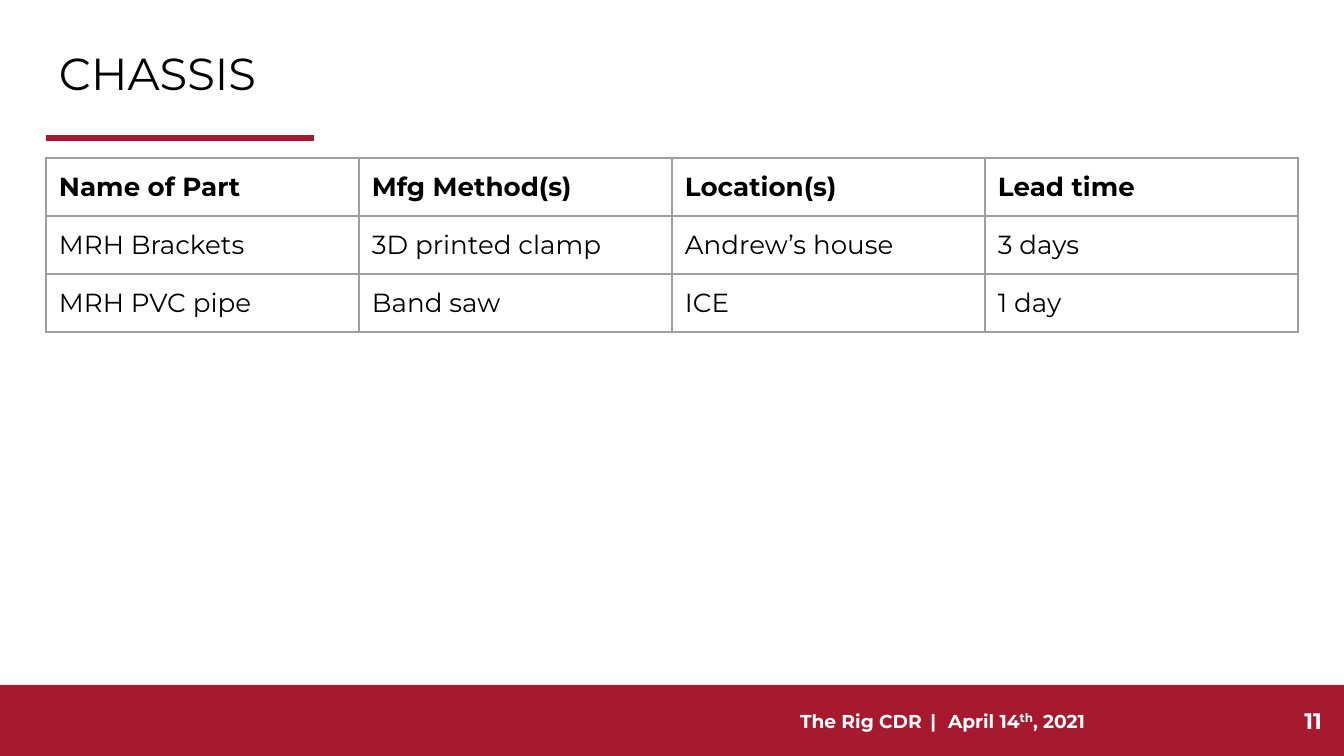
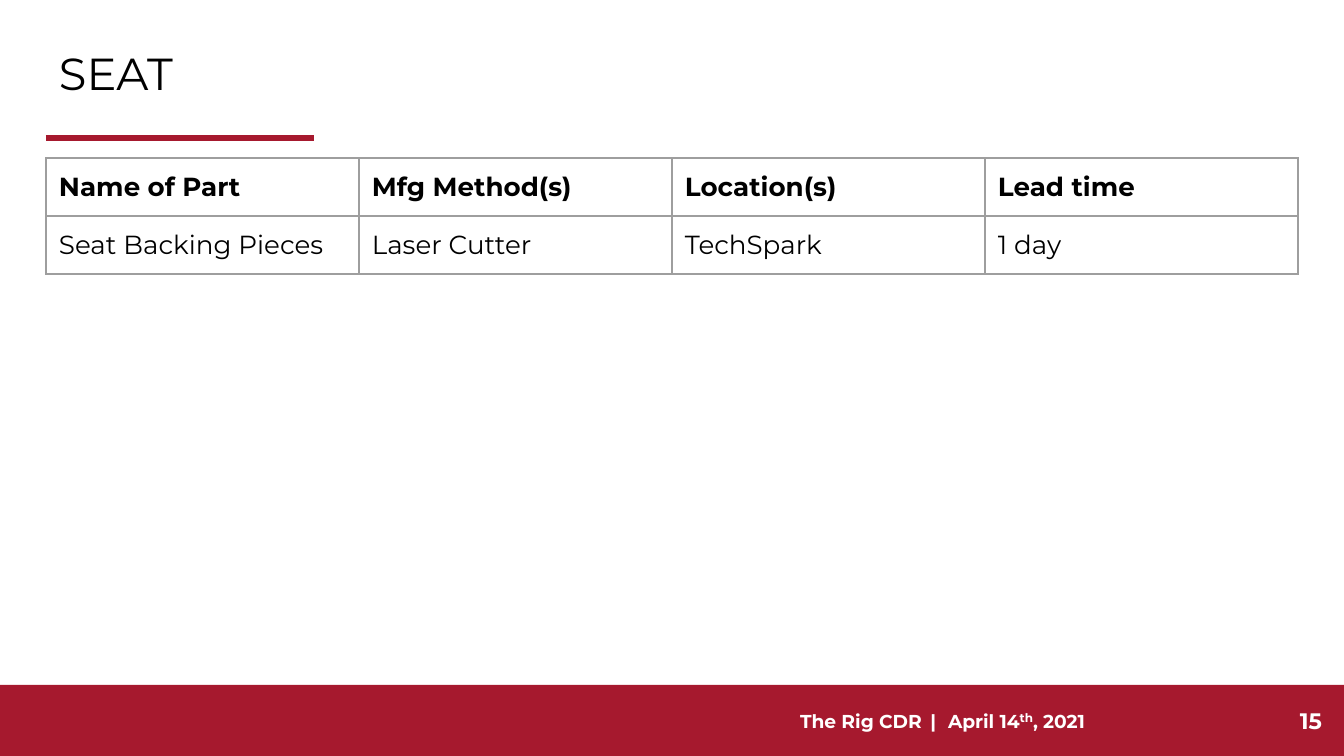
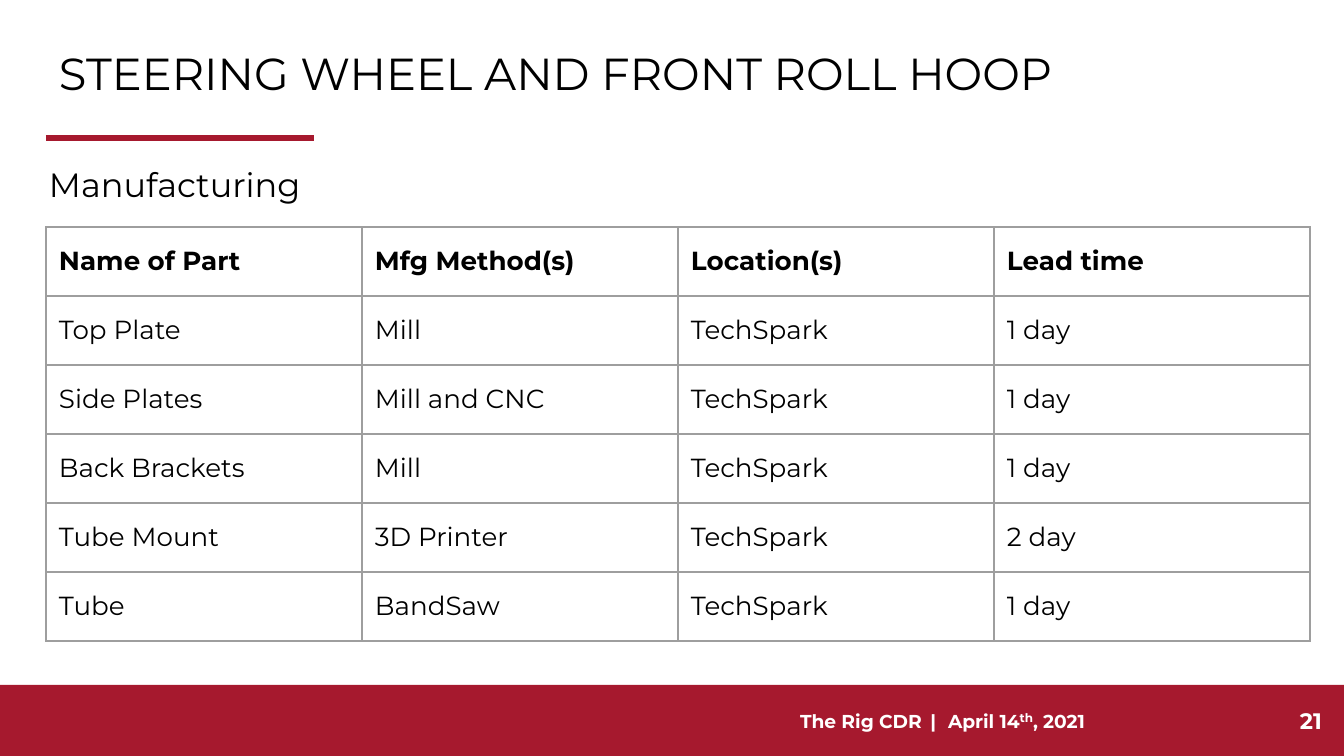
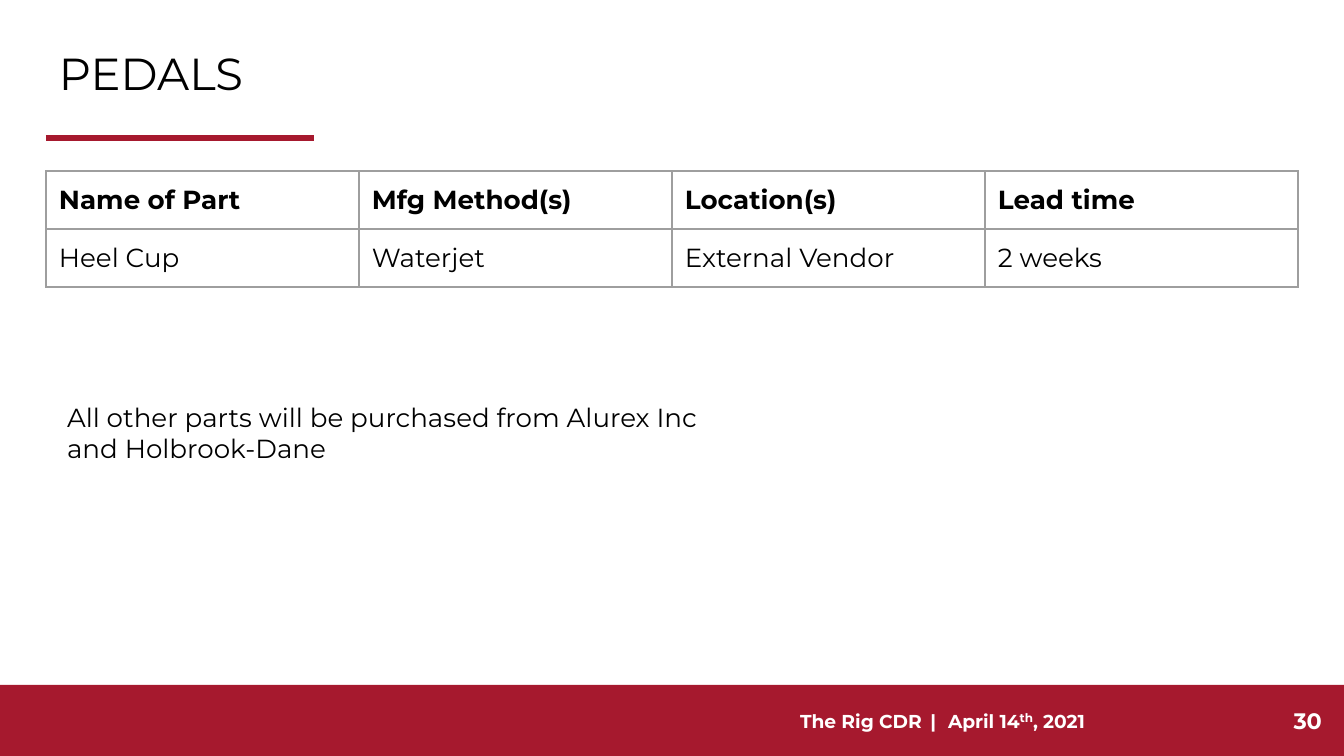
from dataclasses import dataclass
from typing import Optional

import lxml.etree
import pptx
import pptx.dml.color
import pptx.enum.shapes
import pptx.enum.text
import pptx.oxml.ns
import pptx.presentation
import pptx.shapes.autoshape
import pptx.slide
import pptx.text.text
import pptx.util

SLIDE_WIDTH, SLIDE_HEIGHT = 1344, 756
EMU_PER_PX = pptx.util.Inches(10) / SLIDE_WIDTH
FONT = "Montserrat"
COLORS = {"crimson": "A6192E", "black": "000000", "white": "FFFFFF", "grid": "9E9E9E"}
INSET = 13
MARGIN_LEFT = 46
BAND_TOP = 685
BAND_HEIGHT = SLIDE_HEIGHT - BAND_TOP
RULE_Y = 138
RULE_RIGHT = 314
BORDER_POINTS = 0.75
HEADINGS = ("Name of Part", "Mfg Method(s)", "Location(s)", "Lead time")

ALIGN = pptx.enum.text.PP_ALIGN
ANCHOR = pptx.enum.text.MSO_ANCHOR


@dataclass(frozen=True)
class Box:
    left: int
    top: int
    width: int
    height: int

    def emu(self) -> tuple[int, int, int, int]:
        return px(self.left), px(self.top), px(self.width), px(self.height)


@dataclass(frozen=True)
class TextStyle:
    size: int
    color: str = "black"
    bold: bool = False
    align: ALIGN = ALIGN.LEFT
    line_spacing: Optional[float] = None


@dataclass(frozen=True)
class TextBlock:
    text: str
    box: Box
    style: TextStyle
    anchor: ANCHOR = ANCHOR.TOP


@dataclass(frozen=True)
class PartsTable:
    top: int
    rows: tuple[tuple[str, str, str, str], ...]
    column_width: int = 313
    row_height: int = 58


@dataclass(frozen=True)
class PartsSlide:
    title: str
    number: int
    table: PartsTable
    text: Optional[TextBlock] = None


TITLE_BOX = Box(MARGIN_LEFT, 30, 1252, 85)
BAND_BOX = Box(0, BAND_TOP, SLIDE_WIDTH, BAND_HEIGHT)
FOOTER_BOX = Box(587, BAND_TOP, 711, BAND_HEIGHT)
NUMBER_BOX = Box(1246, BAND_TOP, 89, BAND_HEIGHT)

TITLE_STYLE = TextStyle(24)
SUBTITLE_STYLE = TextStyle(18, line_spacing=1.14)
FOOTER_STYLE = TextStyle(10, "white", True, ALIGN.CENTER)
NUMBER_STYLE = TextStyle(12, "white", True, ALIGN.RIGHT)
HEADING_STYLE = TextStyle(14, bold=True)
BODY_STYLE = TextStyle(14)

SLIDES = (
    PartsSlide("CHASSIS", 11, PartsTable(158, (
        ("MRH Brackets", "3D printed clamp", "Andrew’s house", "3 days"),
        ("MRH PVC pipe", "Band saw", "ICE", "1 day"),
    ))),
    PartsSlide("SEAT", 15, PartsTable(158, (
        ("Seat Backing Pieces", "Laser Cutter", "TechSpark", "1 day"),
    ))),
    PartsSlide(
        "STEERING WHEEL AND FRONT ROLL HOOP",
        21,
        PartsTable(227, (
            ("Top Plate", "Mill", "TechSpark", "1 day"),
            ("Side Plates", "Mill and CNC", "TechSpark", "1 day"),
            ("Back Brackets", "Mill", "TechSpark", "1 day"),
            ("Tube Mount", "3D Printer", "TechSpark", "2 day"),
            ("Tube", "BandSaw", "TechSpark", "1 day"),
        ), column_width=316, row_height=69),
        TextBlock("Manufacturing", Box(36, 145, 664, 497), SUBTITLE_STYLE),
    ),
    PartsSlide(
        "PEDALS",
        30,
        PartsTable(171, (("Heel Cup", "Waterjet", "External Vendor", "2 weeks"),)),
        TextBlock(
            "All other parts will be purchased from Alurex Inc and Holbrook-Dane",
            Box(54, 388, 700, 90),
            BODY_STYLE,
        ),
    ),
)


def px(length: int) -> int:
    return round(length * EMU_PER_PX)


def rgb(color: str) -> pptx.dml.color.RGBColor:
    return pptx.dml.color.RGBColor.from_string(COLORS[color])


def style_paragraph(paragraph: pptx.text.text._Paragraph, style: TextStyle) -> None:
    paragraph.alignment = style.align
    if style.line_spacing:
        paragraph.line_spacing = style.line_spacing
    font = paragraph.font
    font.name = FONT
    font.size = pptx.util.Pt(style.size)
    font.bold = style.bold
    font.color.rgb = rgb(style.color)


def set_margins(holder) -> None:
    """Give a text frame or a table cell the shared inset on all four sides."""
    for side in ("left", "right", "top", "bottom"):
        setattr(holder, f"margin_{side}", px(INSET))


def add_text(slide: pptx.slide.Slide, block: TextBlock) -> pptx.text.text._Paragraph:
    frame = slide.shapes.add_textbox(*block.box.emu()).text_frame
    frame.word_wrap = True
    frame.vertical_anchor = block.anchor
    set_margins(frame)
    paragraph = frame.paragraphs[0]
    paragraph.text = block.text
    style_paragraph(paragraph, block.style)
    return paragraph


def add_footer(slide: pptx.slide.Slide) -> None:
    paragraph = add_text(slide, TextBlock("The Rig CDR", FOOTER_BOX, FOOTER_STYLE, ANCHOR.MIDDLE))
    separator, _, ordinal, _ = [
        add_run(paragraph, text) for text in (" | ", "April 14", "th", ", 2021")
    ]
    separator._r.get_or_add_rPr().set("spc", "180")
    ordinal.font.size = pptx.util.Pt(11)
    ordinal._r.get_or_add_rPr().set("baseline", "30000")


def add_run(paragraph: pptx.text.text._Paragraph, text: str) -> pptx.text.text._Run:
    run = paragraph.add_run()
    run.text = text
    return run


def add_band(slide: pptx.slide.Slide) -> None:
    band = slide.shapes.add_shape(pptx.enum.shapes.MSO_SHAPE.RECTANGLE, *BAND_BOX.emu())
    band.shadow.inherit = False
    band.fill.solid()
    band.fill.fore_color.rgb = rgb("crimson")
    band.line.fill.background()


def add_title_rule(slide: pptx.slide.Slide) -> None:
    rule = slide.shapes.add_connector(
        pptx.enum.shapes.MSO_CONNECTOR.STRAIGHT,
        px(MARGIN_LEFT), px(RULE_Y), px(RULE_RIGHT), px(RULE_Y),
    )
    rule.line.color.rgb = rgb("crimson")
    rule.line.width = pptx.util.Pt(3)
    lxml.etree.SubElement(rule._element.spPr, pptx.oxml.ns.qn("a:effectLst"))


def set_cell_borders(cell) -> None:
    """Put the four border lines ahead of the cell fill, as the schema asks."""
    properties = cell._tc.get_or_add_tcPr()
    for position, side in enumerate(("lnL", "lnR", "lnT", "lnB")):
        border = lxml.etree.Element(pptx.oxml.ns.qn(f"a:{side}"))
        border.set("w", str(pptx.util.Pt(BORDER_POINTS)))
        fill = lxml.etree.SubElement(border, pptx.oxml.ns.qn("a:solidFill"))
        color = lxml.etree.SubElement(fill, pptx.oxml.ns.qn("a:srgbClr"))
        color.set("val", COLORS["grid"])
        properties.insert(position, border)


def fill_cell(cell, text: str, style: TextStyle) -> None:
    cell.text = text
    cell.vertical_anchor = ANCHOR.MIDDLE
    set_margins(cell)
    style_paragraph(cell.text_frame.paragraphs[0], style)
    cell.fill.background()
    set_cell_borders(cell)


def add_parts_table(slide: pptx.slide.Slide, parts: PartsTable) -> None:
    rows = (HEADINGS, *parts.rows)
    box = Box(
        MARGIN_LEFT, parts.top,
        parts.column_width * len(HEADINGS), parts.row_height * len(rows),
    )
    table = slide.shapes.add_table(len(rows), len(HEADINGS), *box.emu()).table
    table.first_row = False
    table.horz_banding = False
    for column in table.columns:
        column.width = px(parts.column_width)
    for row_index, texts in enumerate(rows):
        table.rows[row_index].height = px(parts.row_height)
        style = BODY_STYLE if row_index else HEADING_STYLE
        for column_index, text in enumerate(texts):
            fill_cell(table.cell(row_index, column_index), text, style)


def add_parts_slide(presentation: pptx.presentation.Presentation, content: PartsSlide) -> None:
    slide = presentation.slides.add_slide(presentation.slide_layouts[6])
    add_band(slide)
    add_footer(slide)
    add_title_rule(slide)
    add_text(slide, TextBlock(content.title, TITLE_BOX, TITLE_STYLE, ANCHOR.MIDDLE))
    add_text(slide, TextBlock(str(content.number), NUMBER_BOX, NUMBER_STYLE, ANCHOR.MIDDLE))
    if content.text:
        add_text(slide, content.text)
    add_parts_table(slide, content.table)


def main() -> None:
    presentation = pptx.Presentation()
    presentation.slide_width = px(SLIDE_WIDTH)
    presentation.slide_height = px(SLIDE_HEIGHT)
    for content in SLIDES:
        add_parts_slide(presentation, content)
    presentation.save("out.pptx")


if __name__ == "__main__":
    main()
